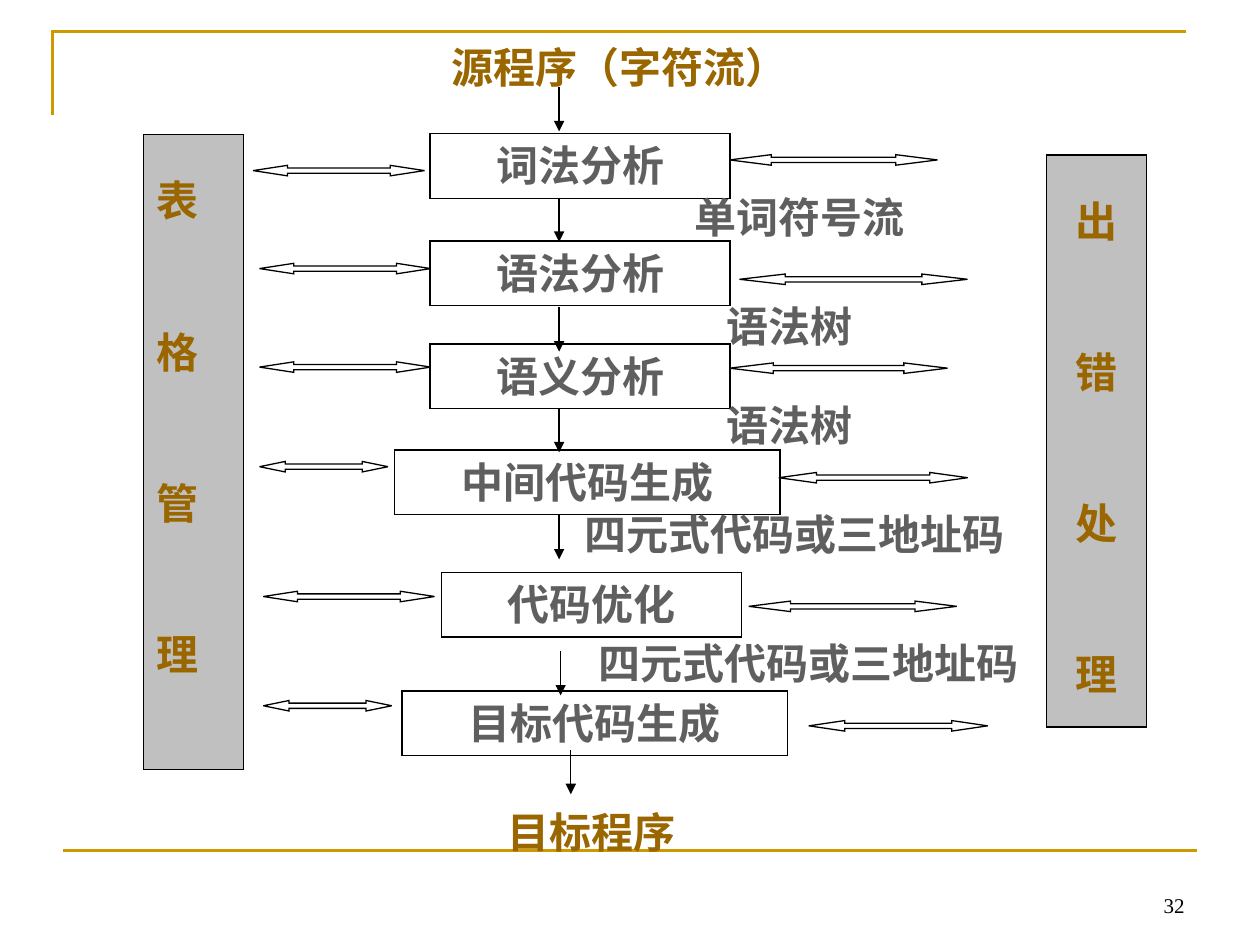
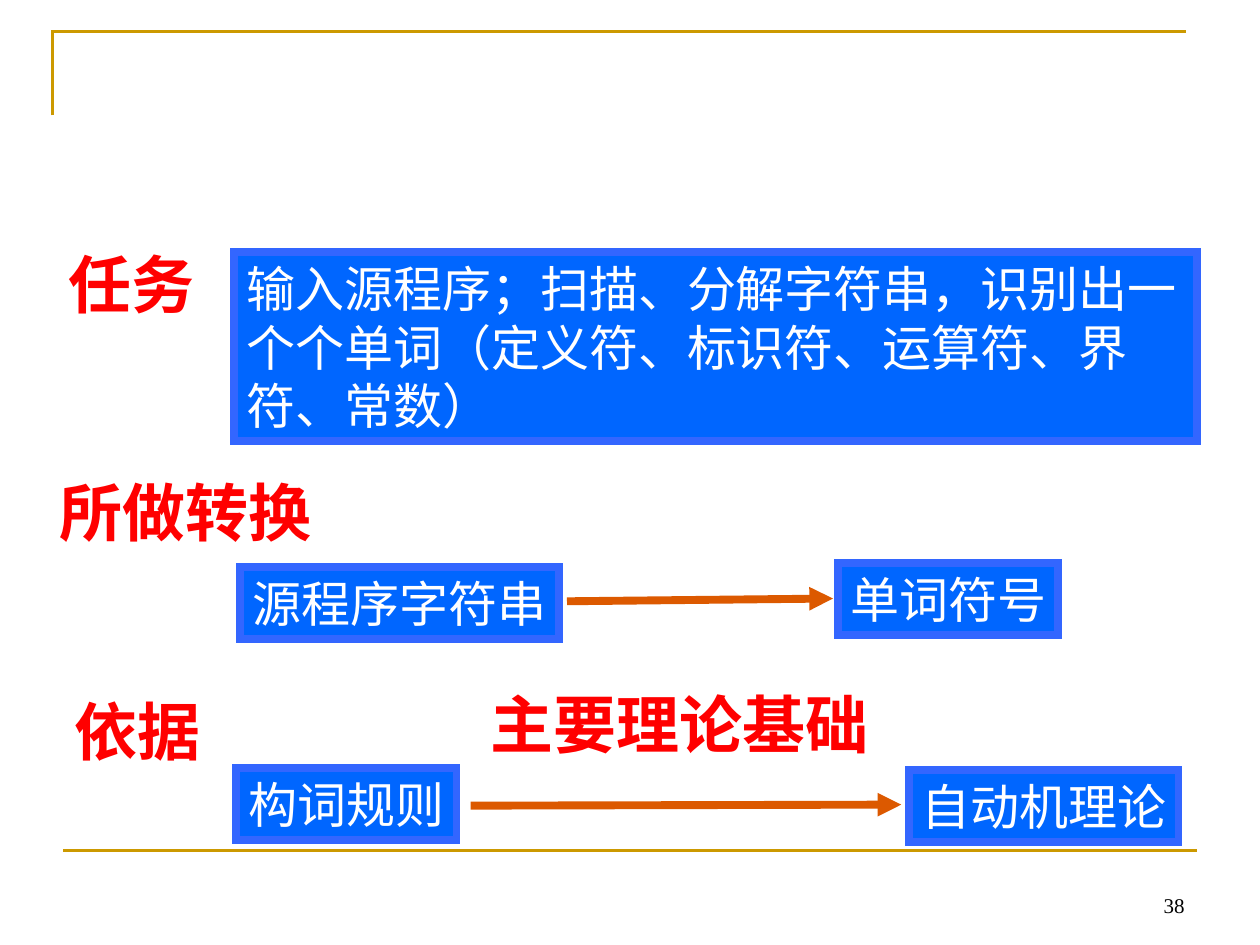
from lxml.etree import SubElement
from pptx import Presentation
from pptx.dml.color import RGBColor
from pptx.enum.shapes import MSO_CONNECTOR, MSO_SHAPE
from pptx.enum.text import MSO_ANCHOR as ANCHOR, PP_ALIGN as ALIGN
from pptx.oxml.ns import qn
from pptx.util import Pt

GOLD = RGBColor(0xCC, 0x99, 0x00)
BROWN = RGBColor(0x99, 0x66, 0x00)
GRAY = RGBColor(0x5F, 0x5F, 0x5F)
SILVER = RGBColor(0xC0, 0xC0, 0xC0)
BLACK = RGBColor(0, 0, 0)
WHITE = RGBColor(0xFF, 0xFF, 0xFF)
RED = RGBColor(0xFF, 0, 0)
BLUE = RGBColor(0, 0x66, 0xFF)
BORDER_BLUE = RGBColor(0x33, 0x66, 0xFF)
ORANGE = RGBColor(0xDC, 0x59, 0x00)

SERIF = "Times New Roman"
SANS = "Noto Sans CJK SC"
STAGE_HEIGHT = 37
DOWN_LENGTH = 25.2
EXCHANGE_HEIGHT = 6
BAR_GAP = 57.6

STAGES = [
    ("词法分析", 245.8, 76.3, 171.4),
    ("语法分析", 245.8, 137.7, 171.4),
    ("语义分析", 245.8, 196.6, 171.4),
    ("中间代码生成", 225.4, 257.2, 220.3),
    ("代码优化", 252.2, 327, 171.4),
    ("目标代码生成", 229.7, 394.8, 220.3),
]
ENDS = [
    ("源程序（字符流）", 245.8, 20.4, 216),
    ("目标程序", 252.2, 457.2, 171.4),
]
RESULTS = [
    ("单词符号流", 371.2, 105.8, 171.4),
    ("语法树", 365.5, 168, 171.4),
    ("语法树", 365.5, 224.6, 171.4),
    ("四元式代码或三地址码", 320.2, 287.3, 267.8),
    ("四元式代码或三地址码", 331.9, 360.7, 260.6),
]
DOWN_ARROWS = [
    (319.5, 49.9), (319.5, 113), (319.5, 175.7), (319.5, 233.3),
    (319.5, 294.5), (320.4, 372.2), (326.2, 428.6),
]
TABLE_EXCHANGES = [
    (144.7, 94.5, 97.9), (148.3, 150.5, 97.9), (148.3, 206.8, 97.9),
    (148.3, 263.7, 73.4), (150.5, 337.9, 97.9), (150.5, 400.3, 73.4),
]
ERROR_EXCHANGES = [
    (416.9, 88.4, 118.8), (422.6, 156.6, 130.3), (416.9, 207.4, 124.6),
    (445, 270, 108), (427.9, 343.5, 118.8), (462.2, 411.8, 102.2),
]
HEADINGS = [
    ("任务", 32.2, 136.8, 86.4),
    ("所做转换", 26.6, 267.1, 158.4),
    ("依据", 35.3, 392.4, 86.4),
    ("主要理论基础", 272.9, 388.3, 230.4),
]
TERMS = [
    ("构词规则", 134.9, 439, 126),
    ("自动机理论", 519.4, 440.1, 154.1),
    ("源程序字符串", 137.3, 324, 182.2),
    ("单词符号", 478.8, 321.8, 126),
]
TASK = "输入源程序；扫描、分解字符串，识别出一个个单词（定义符、标识符、运算符、界符、常数）"


def points(*lengths):
    return [Pt(length) for length in lengths]


def write(holder, text, size, color, font=SERIF, bold=False,
          align=ALIGN.CENTER, anchor=ANCHOR.TOP, wrap=True):
    frame = holder.text_frame
    frame.text = text
    frame.word_wrap = wrap
    frame.vertical_anchor = anchor
    for paragraph in frame.paragraphs:
        paragraph.alignment = align
        paragraph._p.get_or_add_pPr().set("hangingPunct", "0")
        for run in paragraph.runs:
            run.font.size = Pt(size)
            run.font.bold = bold
            run.font.color.rgb = color
            run.font.name = font
            SubElement(run.font._element, qn("a:ea"), typeface=SANS)
    return frame


def add_label(slide, text, left, top, width, height, size, color, **style):
    label = slide.shapes.add_textbox(*points(left, top, width, height))
    write(label, text, size, color, **style)


def set_outline(shape, color, weight):
    shape.shadow.inherit = False
    shape.line.color.rgb = color
    shape.line.width = Pt(weight)
    SubElement(shape.line._get_or_add_ln(), qn("a:miter"), lim="800000")


def add_block(slide, preset, left, top, width, height, fill, line, weight=0.75):
    block = slide.shapes.add_shape(preset, *points(left, top, width, height))
    block.fill.solid()
    block.fill.fore_color.rgb = fill
    set_outline(block, line, weight)
    return block


def add_line(slide, x1, y1, x2, y2, color, weight, arrow=False):
    line = slide.shapes.add_connector(MSO_CONNECTOR.STRAIGHT, *points(x1, y1, x2, y2))
    line.line.color.rgb = color
    line.line.width = Pt(weight)
    if arrow:
        SubElement(line.line._get_or_add_ln(), qn("a:tailEnd"), type="triangle")
    SubElement(line._element.spPr, qn("a:effectLst"))


def add_framed_slide(deck, number):
    slide = deck.slides.add_slide(deck.slide_layouts[6])
    builder = slide.shapes.build_freeform(Pt(30), Pt(66))
    builder.add_line_segments([points(30, 18), points(678, 18)], close=False)
    corner = builder.convert_to_shape()
    corner.fill.background()
    set_outline(corner, GOLD, 1.5)
    add_line(slide, 36, 486, 684, 486, GOLD, 1.5)
    add_label(slide, number, 516, 491.8, 168, 36, 12, BLACK,
              align=ALIGN.RIGHT, anchor=ANCHOR.BOTTOM)
    return slide


def add_stage(slide, text, left, top, width):
    stage = add_block(slide, MSO_SHAPE.RECTANGLE, left, top, width, STAGE_HEIGHT, WHITE, BLACK)
    write(stage, text, 24, GRAY, bold=True)


def add_bar(slide, text, left, top, height, align):
    bar = add_block(slide, MSO_SHAPE.RECTANGLE, left, top, 56.9, height, SILVER, BLACK)
    frame = write(bar, "\n".join(text), 24, BROWN, bold=True, align=align)
    frame.margin_top = Pt(23)
    for paragraph in frame.paragraphs[1:]:
        paragraph.space_before = Pt(BAR_GAP)


def add_exchange(slide, left, top, width):
    exchange = add_block(slide, MSO_SHAPE.LEFT_RIGHT_ARROW, left, top, width,
                         EXCHANGE_HEIGHT, WHITE, BLACK)
    exchange.adjustments[0] = 0.5
    exchange.adjustments[1] = 0.2 * width / EXCHANGE_HEIGHT


def add_term(slide, text, left, top, width, height=41, **style):
    term = add_block(slide, MSO_SHAPE.RECTANGLE, left, top, width, height,
                     BLUE, BORDER_BLUE, 4.5)
    write(term, text, 28, WHITE, font=SANS, anchor=ANCHOR.MIDDLE, **style)


def build_compiler_phases(deck):
    slide = add_framed_slide(deck, "32")
    for stage in STAGES:
        add_stage(slide, *stage)
    for end in ENDS:
        add_label(slide, *end, STAGE_HEIGHT, 24, BROWN, bold=True)
    add_bar(slide, "表格管理", 82.1, 77, 362.9, ALIGN.JUSTIFY)
    add_bar(slide, "出错处理", 598.2, 88.6, 326.9, ALIGN.CENTER)
    for result in RESULTS:
        add_label(slide, *result, STAGE_HEIGHT, 24, GRAY, bold=True)
    for x, top in DOWN_ARROWS:
        add_line(slide, x, top, x, top + DOWN_LENGTH, BLACK, 0.75, arrow=True)
    for exchange in TABLE_EXCHANGES + ERROR_EXCHANGES:
        add_exchange(slide, *exchange)


def build_lexical_analysis(deck):
    slide = add_framed_slide(deck, "38")
    for heading in HEADINGS:
        add_label(slide, *heading, 50.4, 36, RED, font=SANS, bold=True,
                  anchor=ANCHOR.MIDDLE, wrap=False)
    for term in TERMS:
        add_term(slide, *term, wrap=False)
    add_term(slide, TASK, 133.9, 144, 550.1, 108, align=ALIGN.LEFT)
    add_line(slide, 324, 343.6, 476, 342, ORANGE, 4.5, arrow=True)
    add_line(slide, 268.9, 460.4, 515, 459.8, ORANGE, 4.5, arrow=True)


def main():
    deck = Presentation()
    deck.slide_width, deck.slide_height = points(720, 540)
    build_compiler_phases(deck)
    build_lexical_analysis(deck)
    deck.save("out.pptx")


if __name__ == "__main__":
    main()
